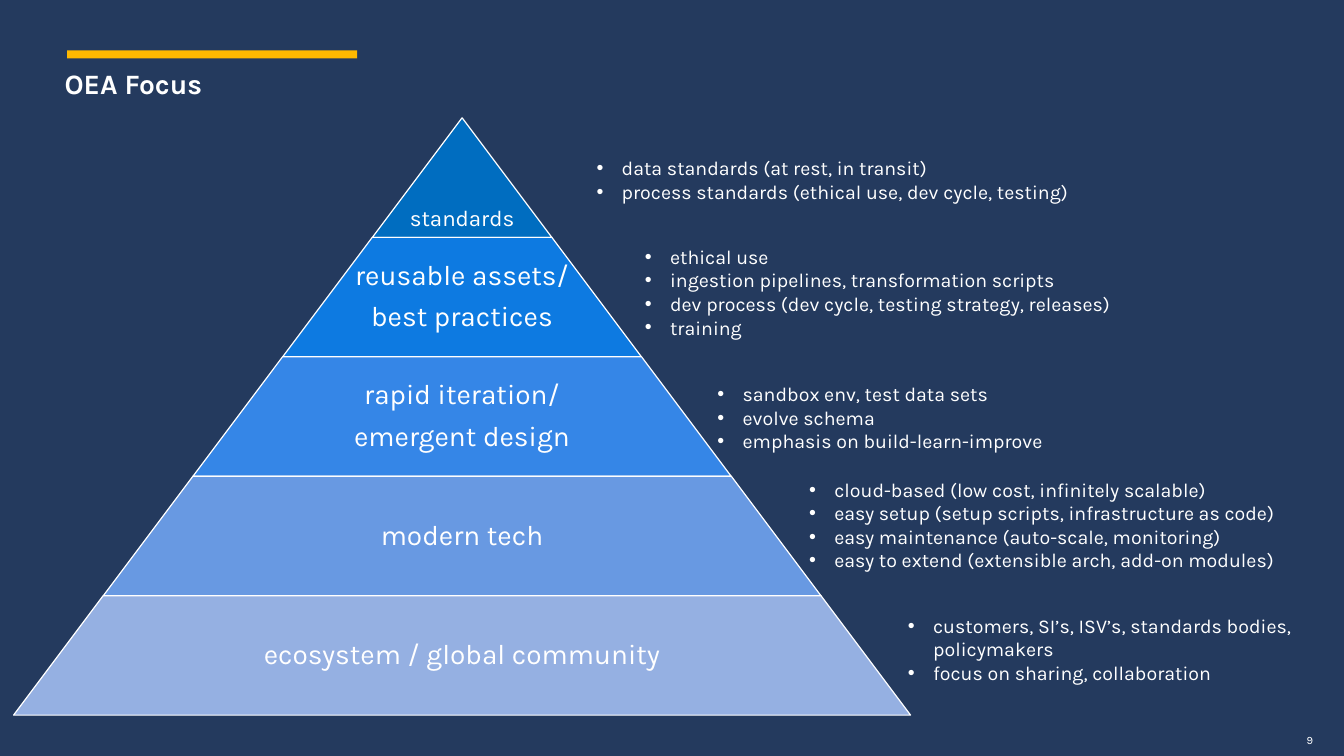
from pptx import Presentation
from pptx.dml.color import RGBColor as Rgb
from pptx.enum.shapes import MSO_SHAPE as Geo
from pptx.enum.text import MSO_ANCHOR as Anchor, MSO_AUTO_SIZE as Fit, PP_ALIGN as Align
from pptx.util import Emu, Pt
from lxml.etree import SubElement
from pptx.oxml.ns import qn

SCALE = 4572  # 200 px to the inch
FONT = "Karla"
COLORS = {"back": "243A5E", "text": "FFFFFF", "bar": "FFB900"}

# Pyramid: axis, top, tier height and the width each tier adds
AXIS, TOP, TALL, STEP = 917, 234, 237, 356
TIERS = [
    ("standards", "006DC0"),
    ("reusable assets/\nbest practices", "0D7AE1"),
    ("rapid iteration/\nemergent design", "3586E7"),
    ("modern tech", "6899E2"),
    ("ecosystem / global community", "95B0E2"),
]

# Bullet lists: left, top, width, height, lines
NOTES = [
    (1064, 300, 1222, 114, [
        "data standards (at rest, in transit)",
        "process standards (ethical use, dev cycle, testing)"]),
    (1160, 476, 1222, 208, [
        "ethical use",
        "ingestion pipelines, transformation scripts",
        "dev process (dev cycle, testing strategy, releases)",
        "training"]),
    (1304, 748, 1076, 162, [
        "sandbox env, test data sets",
        "evolve schema",
        "emphasis on build-learn-improve"]),
    (1486, 938, 1076, 208, [
        "cloud-based (low cost, infinitely scalable)",
        "easy setup (setup scripts, infrastructure as code)",
        "easy maintenance (auto-scale, monitoring)",
        "easy to extend (extensible arch, add-on modules)"]),
    (1682, 1208, 1004, 162, [
        "customers, SI’s, ISV’s, standards bodies, policymakers",
        "focus on sharing, collaboration"]),
]


def px(n):
    return Emu(round(n * SCALE))


def box(*rect):
    return [px(n) for n in rect]


def color(key):
    return Rgb.from_string(COLORS.get(key, key))


def style(para, size, bold=False):
    font = para.font
    font.name, font.size, font.bold = FONT, Pt(size), bold
    font.color.rgb = color("text")


def inset(frame, pad):
    frame.margin_left = frame.margin_right = px(pad)
    frame.margin_top = frame.margin_bottom = px(pad)


def add_title(slide, text):
    title = slide.shapes.title
    title.left, title.top, title.width, title.height = box(108, 122, 774, 88)
    frame = title.text_frame
    frame.text = text
    frame.auto_size = Fit.NONE
    frame.vertical_anchor = Anchor.TOP
    para = frame.paragraphs[0]
    para.alignment = Align.LEFT
    style(para, 20, True)


def add_block(slide, kind, rect, fill):
    shape = slide.shapes.add_shape(kind, *box(*rect))
    shape.shadow.inherit = False
    shape.fill.solid()
    shape.fill.fore_color.rgb = color(fill)
    shape.line.fill.background()
    return shape


def add_text(slide, rect, text):
    frame = slide.shapes.add_textbox(*box(*rect)).text_frame
    frame.word_wrap = True
    frame.text = text
    return frame


def add_tier(slide, rank, text, fill):
    wide, top = STEP * (rank + 1), TOP + TALL * rank
    shape = add_block(slide, Geo.TRAPEZOID, (AXIS - wide / 2, top, wide, TALL), fill)
    shape.adjustments[0] = 0.75
    shape.line.color.rgb = color("text")
    shape.line.width = Pt(0.85)

    # The tip's label is smaller and sits at its wide base
    tip = rank == 0
    span = max(STEP, wide * 0.65)
    frame = add_text(slide, (AXIS - span / 2, top, span, TALL), text)
    inset(frame, 12 if tip else 6)
    frame.vertical_anchor = Anchor.BOTTOM if tip else Anchor.MIDDLE
    for para in frame.paragraphs:
        para.alignment = Align.CENTER
        para.line_spacing = 0.9
        para.space_after = Pt(0 if tip else 8)
        style(para, 16 if tip else 20)


def add_notes(slide, rect, lines):
    frame = add_text(slide, rect, "\n".join(lines))
    for para in frame.paragraphs:
        para.level = 1
        props = para._p.get_or_add_pPr()
        props.set("marL", str(px(150)))
        props.set("indent", str(px(-50)))
        SubElement(props, qn("a:buFont")).set("typeface", "Arial")
        SubElement(props, qn("a:buChar")).set("char", "•")
        style(para, 14)


def add_number(slide, text):
    frame = add_text(slide, (2578, 1456, 28, 26), text)
    frame.word_wrap = False
    inset(frame, 0)
    para = frame.paragraphs[0]
    para.alignment = Align.RIGHT
    style(para, 8)


def main():
    deck = Presentation()
    deck.slide_width, deck.slide_height = box(2667, 1500)
    slide = deck.slides.add_slide(deck.slide_layouts[5])
    slide.background.fill.solid()
    slide.background.fill.fore_color.rgb = color("back")

    # Heading
    add_title(slide, "OEA Focus")
    add_block(slide, Geo.RECTANGLE, (133, 100, 576, 16), "bar")

    # Pyramid and its lists
    for rank, (text, fill) in enumerate(TIERS):
        add_tier(slide, rank, text, fill)
    for *rect, lines in NOTES:
        add_notes(slide, rect, lines)

    # Page number
    add_number(slide, "9")
    deck.save("out.pptx")


if __name__ == "__main__":
    main()
